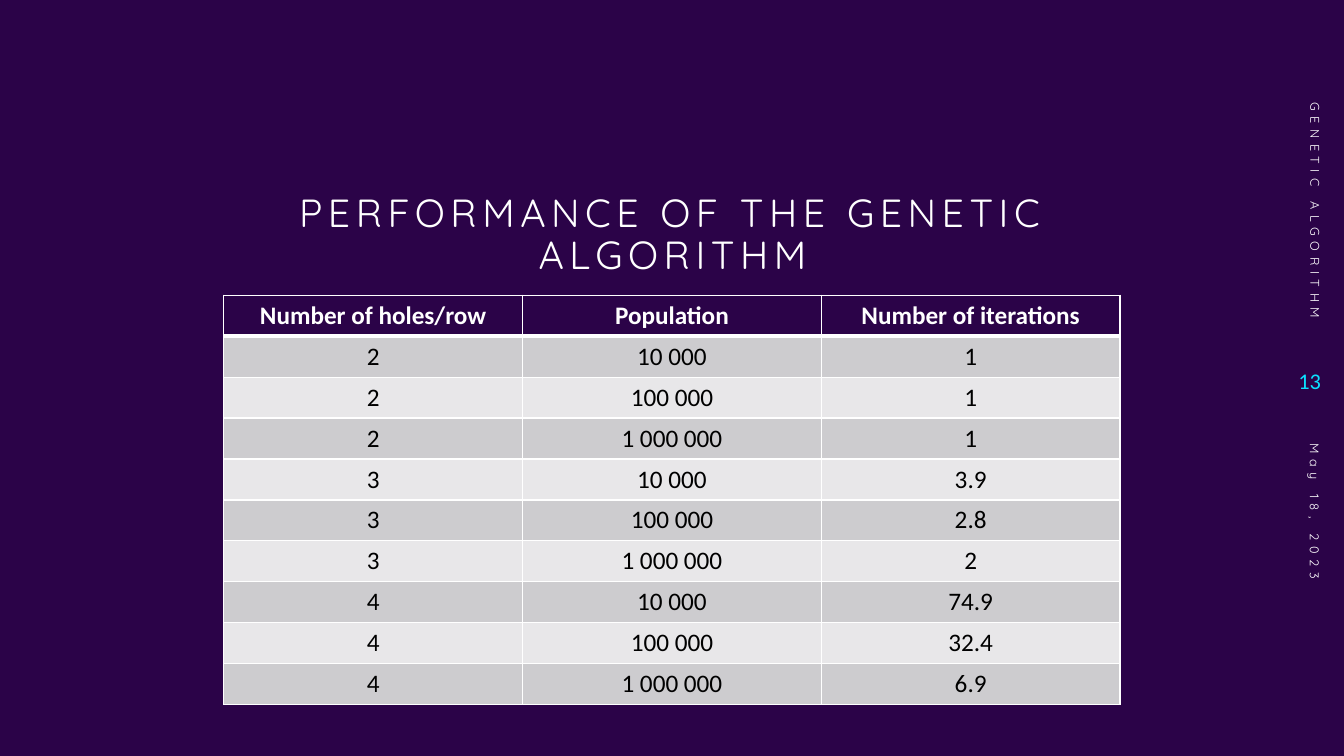
from lxml.etree import SubElement
from pptx import Presentation
from pptx.dml.color import RGBColor
from pptx.enum.text import MSO_ANCHOR, PP_ALIGN
from pptx.oxml.ns import qn
from pptx.util import Inches, Pt

PURPLE = RGBColor(0x2B, 0x03, 0x48)
WHITE = RGBColor(0xFF, 0xFF, 0xFF)
BLACK = RGBColor(0x00, 0x00, 0x00)
CYAN = RGBColor(0x0B, 0xE1, 0xFF)
DARK_BAND = RGBColor(0xCD, 0xCC, 0xCF)
LIGHT_BAND = RGBColor(0xE8, 0xE7, 0xE9)


def write_text(frame, text, align, color, spacing=0, **font_format):
    """Fill the first paragraph; spacing is the letter spacing in points."""
    para = frame.paragraphs[0]
    para.alignment = align
    span = para.add_run()
    span.text = text
    span.font.color.rgb = color
    for name, value in font_format.items():
        setattr(span.font, name, value)
    if spacing:
        span.font._element.set("spc", str(spacing * 100))


def add_border(cell, side, points):
    line = SubElement(cell._tc.get_or_add_tcPr(), qn(f"a:{side}"), w=str(Pt(points)))
    fill = SubElement(line, qn("a:solidFill"))
    SubElement(fill, qn("a:srgbClr"), val=str(WHITE))


deck = Presentation()
deck.slide_width, deck.slide_height = Inches(13.33), Inches(7.5)
page = deck.slides.add_slide(deck.slide_layouts[5])
page.background.fill.solid()
page.background.fill.fore_color.rgb = PURPLE

# Title
title = page.shapes.title
title.left, title.top = Inches(2.07), Inches(1.87)
title.width, title.height = Inches(9.2), Inches(0.81)
title.text_frame.vertical_anchor = MSO_ANCHOR.TOP
write_text(title.text_frame, "PERFORMANCE OF THE GENETIC ALGORITHM", PP_ALIGN.CENTER,
           WHITE, spacing=4, size=Pt(28), name="Quicksand")
title.text_frame.paragraphs[0].line_spacing = 0.9

# Right margin: topic, page number and date
margin_notes = [
    ("GENETIC ALGORITHM", (11.53, 1.54, 3.03, 0.4), 90, PP_ALIGN.RIGHT, WHITE, 4, 9, "Quicksand"),
    ("13", (12.6, 3.46, 0.6, 0.63), 0, PP_ALIGN.RIGHT, CYAN, 0, 16, "Calibri"),
    ("May 18, 2023", (11.59, 5.55, 2.9, 0.4), 90, PP_ALIGN.LEFT, WHITE, 4, 9, "Quicksand"),
]
for text, place, rotation, align, color, spacing, size, font in margin_notes:
    box = page.shapes.add_textbox(*map(Inches, place))
    box.rotation = rotation
    box.text_frame.word_wrap = True
    box.text_frame.vertical_anchor = MSO_ANCHOR.MIDDLE
    write_text(box.text_frame, text, align, color, spacing, size=Pt(size), name=font)

# Results table
headers = ["Number of holes/row", "Population", "Number of iterations"]
populations = ["10 000", "100 000", "1 000 000"]
iterations = {"2": ["1", "1", "1"], "3": ["3.9", "2.8", "2"], "4": ["74.9", "32.4", "6.9"]}
rows = [headers]
for holes, counts in iterations.items():
    rows += [[holes, population, count] for population, count in zip(populations, counts)]

table = page.shapes.add_table(len(rows), len(headers), Inches(2.22), Inches(2.93),
                              Inches(8.89), Inches(4.06)).table
for row_index, values in enumerate(rows):
    is_header = row_index == 0
    band = PURPLE if is_header else DARK_BAND if row_index % 2 else LIGHT_BAND
    for column_index, value in enumerate(values):
        cell = table.cell(row_index, column_index)
        write_text(cell.text_frame, value, PP_ALIGN.CENTER, WHITE if is_header else BLACK,
                   size=Pt(18), name="Calibri", bold=is_header)
        widths = {"lnL": 1, "lnR": 1, "lnT": 3 if row_index == 1 else 1,
                  "lnB": 3 if is_header else 1}
        for side, points in widths.items():
            add_border(cell, side, points)
        cell.fill.solid()
        cell.fill.fore_color.rgb = band

deck.save("out.pptx")
